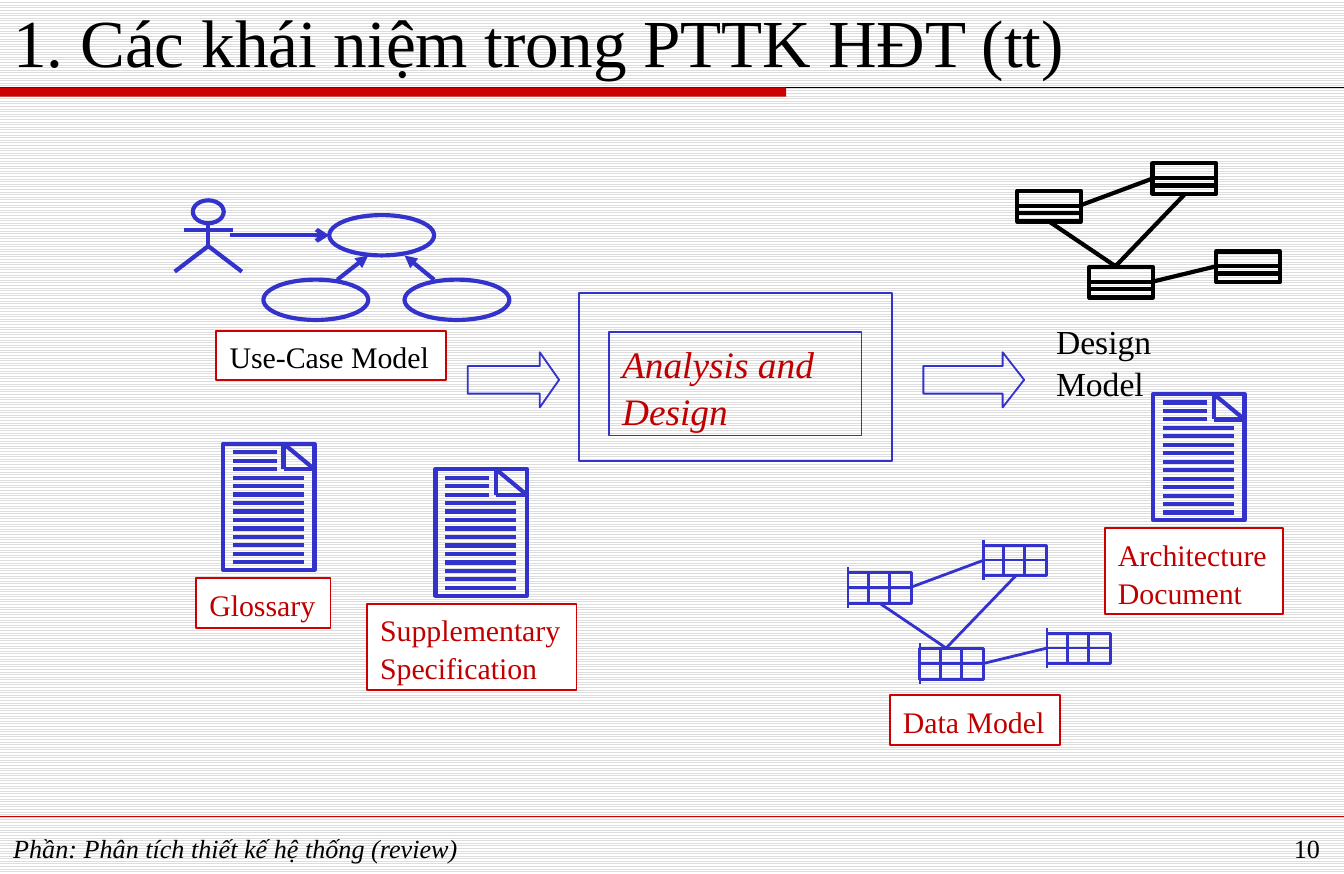
from dataclasses import dataclass

from lxml import etree
from pptx import Presentation, util as u
from pptx.dml.color import RGBColor
from pptx.enum import dml, shapes as s, text as t
from pptx.oxml.ns import qn

# The grid: 100 columns by 65 rows of a tenth of an inch
CELL = u.Inches(0.1)
COLS, ROWS = 100, 65

BLUE = RGBColor(0x33, 0x33, 0xCC)
RED = RGBColor(0xCC, 0x00, 0x00)
DARK = RGBColor(0xC0, 0x00, 0x00)
BLACK = RGBColor(0x00, 0x00, 0x00)
WHITE = RGBColor(0xFF, 0xFF, 0xFF)
GREY = RGBColor(0xDD, 0xDD, 0xDD)
FONT = "Times New Roman"
KIND = s.MSO_SHAPE


@dataclass
class Pen:
    color: RGBColor
    width: float


@dataclass
class Label:
    box: tuple
    lines: tuple
    color: RGBColor = DARK


@dataclass
class Net:
    left: float
    top: float
    pen: Pen
    rows: tuple  # inner lines across each box
    cols: tuple  # inner lines down each box
    key: bool    # long bar at the left of each box


BOLD, MID, THIN = Pen(BLUE, 2.25), Pen(BLUE, 1.5), Pen(BLUE, 1)
EDGE = Pen(RED, 1)

deck = Presentation()
deck.slide_width, deck.slide_height = COLS * CELL, ROWS * CELL
slide = deck.slides.add_slide(deck.slide_layouts[6])


def grid(*cells: float) -> list:
    return [round(c * CELL) for c in cells]


def ink(line, pen: Pen) -> None:
    line.color.rgb, line.width = pen.color, u.Pt(pen.width)


def shape(kind, box: tuple, pen: Pen = None, fill: RGBColor = None):
    item = slide.shapes.add_shape(kind, *grid(*box))
    item.shadow.inherit = False
    if fill is None:
        item.fill.background()
    else:
        item.fill.solid()
        item.fill.fore_color.rgb = fill
    if pen:
        ink(item.line, pen)
    else:
        item.line.fill.background()
    return item


def line(x1: float, y1: float, x2: float, y2: float, pen: Pen, head: str = "") -> None:
    item = slide.shapes.add_connector(s.MSO_CONNECTOR.STRAIGHT, *grid(x1, y1, x2, y2))
    ink(item.line, pen)
    props = item.element.spPr
    if head:
        etree.SubElement(props.find(qn("a:ln")), qn("a:tailEnd"), type=head)
    etree.SubElement(props, qn("a:effectLst"))


def write(item, lines: tuple, size: float, color: RGBColor = BLACK, italic: bool = False,
          wrap: bool = True, space: float = 1.0, align=t.PP_ALIGN.LEFT,
          anchor=t.MSO_ANCHOR.TOP) -> None:
    frame = item.text_frame
    frame.word_wrap, frame.vertical_anchor = wrap, anchor
    style = {"name": FONT, "size": u.Pt(size), "italic": italic}
    for i, words in enumerate(lines):
        para = frame.add_paragraph() if i else frame.paragraphs[0]
        para.alignment, para.line_spacing = align, space
        run = para.add_run()
        run.text = words
        for name, value in style.items():
            setattr(run.font, name, value)
        run.font.color.rgb = color


def note(box: tuple, words: str, size: float, **form):
    item = slide.shapes.add_textbox(*grid(*box))
    write(item, (words,), size, **form)
    return item


def page(x: float, y: float) -> None:
    """A sheet with a folded corner and ruled lines."""
    shape(KIND.RECTANGLE, (x, y, 6.8, 9.4), BOLD)
    fold = [(4.5, 0), (6.8, 1.9), (4.5, 1.9), (4.5, 0)]
    for (a, b), (c, d) in zip(fold, fold[1:]):
        line(x + a, y + b, x + c, y + d, BOLD)
    for i in range(1, 15):
        row = y + 0.63 * i
        line(x + 0.7, row, x + (4 if i < 4 else 6), row, BOLD)


def draw(net: Net) -> None:
    """Four linked boxes with inner lines."""
    wide, high = 4.74, 2.28
    for dx, dy in [(0, 0), (10.05, -2.05), (5.35, 5.65), (14.8, 4.5)]:
        x, y = net.left + dx, net.top + dy
        shape(KIND.RECTANGLE, (x, y, wide, high), net.pen)
        for row in net.rows:
            line(x, y + row, x + wide, y + row, net.pen)
        for col in net.cols:
            line(x + col, y, x + col, y + high, net.pen)
        if net.key:
            line(x, y - 0.4, x, y + 2.6, net.pen)
    for a, b, c, d in [(7.3, 5.6, 2.4, 2.3), (4.75, 1.05, 10, -0.9),
                       (10.05, 6.75, 14.8, 5.6), (7.3, 5.6, 12.5, 0.2)]:
        line(net.left + a, net.top + b, net.left + c, net.top + d, net.pen)


# Background, title and footer
back = slide.background.fill
back.patterned()
back.pattern = dml.MSO_PATTERN.LIGHT_HORIZONTAL
back.fore_color.rgb, back.back_color.rgb = GREY, WHITE
line(0, 6.5, COLS, 6.5, Pen(BLACK, 0.75))
shape(KIND.RECTANGLE, (0, 6.5, 58.5, 0.7), fill=RED)
line(0, 60.7, COLS, 60.7, Pen(RED, 0.25))
note((0, 0.7, COLS, 5.8), "1. Các khái niệm trong PTTK HĐT (tt)", 36,
     anchor=t.MSO_ANCHOR.BOTTOM)
note((0, 61.4, 81.7, 2.9), "Phần: Phân tích thiết kế hệ thống (review)", 14, italic=True)
note((89.2, 61.4, 10, 3.1), "10", 14, align=t.PP_ALIGN.RIGHT)

# Use cases: the actor, then the ovals and their arrows
shape(KIND.OVAL, (14.35, 14.9, 2.3, 1.7), BOLD)
line(15.5, 16.6, 15.5, 18.3, BOLD)
line(13.7, 17.1, 17.3, 17.1, BOLD)
pen = slide.shapes.build_freeform(*grid(13, 20.2))
pen.add_line_segments([grid(15.5, 18.3), grid(18, 20.2)], close=False)
legs = pen.convert_to_shape()
legs.shadow.inherit = False
legs.fill.background()
ink(legs.line, BOLD)
for x, y in [(24.5, 16), (19.6, 20.8), (30.1, 20.8)]:
    shape(KIND.OVAL, (x, y, 7.8, 3), BOLD)
line(17.1, 17.5, 24.5, 17.5, BOLD, "arrow")
line(25.1, 20.8, 27.4, 19, BOLD, "triangle")
line(32.3, 20.8, 30.1, 19, BOLD, "triangle")

# Documents and models
for spot in [(32.4, 34.9), (85.8, 29.3), (16.6, 33)]:
    page(*spot)
for net in [Net(63.1, 42.6, MID, (1.1,), (1.5, 3.1), True),
            Net(75.7, 14.2, Pen(BLACK, 2.25), (1.1, 1.65), (), False)]:
    draw(net)

# Process and block arrows
shape(KIND.RECTANGLE, (43.1, 21.8, 23.3, 12.5), THIN)
core = shape(KIND.RECTANGLE, (45.3, 24.7, 18.8, 7.7), THIN)
write(core, ("Analysis and Design",), 20, DARK, italic=True, space=1.05)
for x, wide, tip in [(34.8, 6.8, 0.35), (68.7, 7.5, 0.39)]:
    arrow = shape(KIND.RIGHT_ARROW, (x, 26.2, wide, 4.1), THIN)
    arrow.adjustments[1] = tip

# Labels
for tag in [Label((27.3, 44.9, 15.6, 6.4), ("Supplementary", "Specification")),
            Label((16.1, 24.6, 17.1, 3.7), ("Use-Case Model",), BLACK),
            Label((66.2, 51.7, 12.7, 3.7), ("Data Model",)),
            Label((82.2, 39.3, 13.3, 6.4), ("Architecture", "Document")),
            Label((14.6, 43, 10, 3.7), ("Glossary",))]:
    write(shape(KIND.RECTANGLE, tag.box, EDGE, WHITE), tag.lines, 16, tag.color,
          wrap=False, space=1.05)
name = note((77.6, 23.2, 15.6, 3), "Design Model", 18, space=1.05)
name.text_frame.margin_right = 5 * CELL

deck.save("out.pptx")
